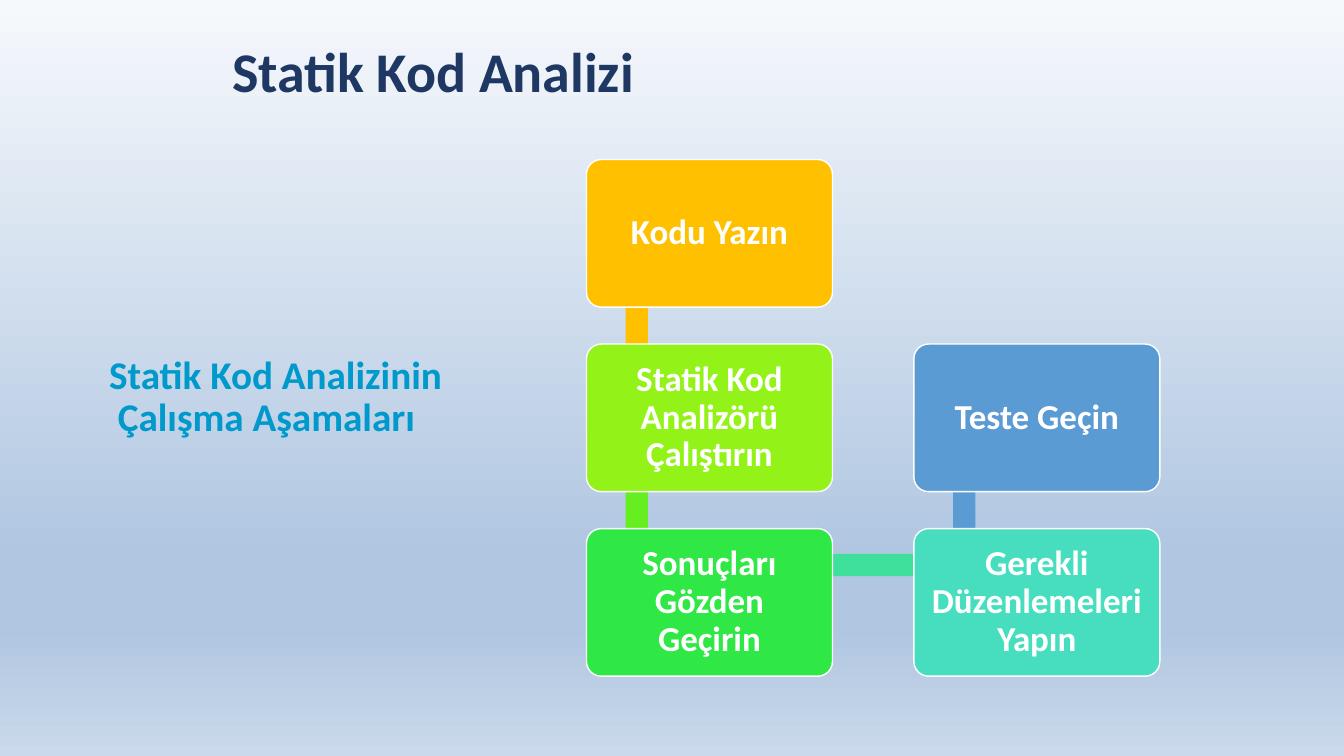
import pptx
import pptx.dml.color
import pptx.enum.shapes
import pptx.enum.text
import pptx.oxml
import pptx.oxml.ns
import pptx.util

Cm, Pt = pptx.util.Cm, pptx.util.Pt
RGB = pptx.dml.color.RGBColor
SHAPE = pptx.enum.shapes.MSO_SHAPE
ALIGN = pptx.enum.text.PP_ALIGN
ANCHOR = pptx.enum.text.MSO_ANCHOR

# Content
TITLE = "Statik Kod Analizi"
SUBTITLE = "Statik Kod Analizinin\vÇalışma Aşamaları"
NAVY = RGB(0x1F, 0x38, 0x63)
CYAN = RGB(0x00, 0x99, 0xCC)
WHITE = RGB(0xFF, 0xFF, 0xFF)
AMBER = RGB(0xFF, 0xC0, 0x00)
LIME = RGB(0x93, 0xF3, 0x18)
GREEN = RGB(0x2F, 0xE8, 0x45)
TEAL = RGB(0x46, 0xDE, 0xBE)
BLUE = RGB(0x5B, 0x9B, 0xD4)
LEAF = RGB(0x67, 0xEE, 0x20)
MINT = RGB(0x3E, 0xE0, 0x9B)
BACKGROUND = [(0, "F6F9FC"), (74, "B0C6E1"), (83, "B0C6E1"), (100, "CAD9EB")]

# Steps in order: text, column, row, fill
STEPS = [
    ("Kodu Yazın", 0, 0, AMBER),
    ("Statik Kod\vAnalizörü\vÇalıştırın", 0, 1, LIME),
    ("Sonuçları\vGözden\vGeçirin", 0, 2, GREEN),
    ("Gerekli\vDüzenlemeleri\vYapın", 1, 2, TEAL),
    ("Teste Geçin", 1, 1, BLUE),
]
LINK_COLORS = [AMBER, LEAF, MINT, BLUE]

# Grid in centimetres
LEFT, TOP = 14.78, 4.02
COL_PITCH, ROW_PITCH = 8.25, 4.65
BOX_W, BOX_H = 6.2, 3.72
BAR = 0.56


def corner(col, row):
    return LEFT + col * COL_PITCH, TOP + row * ROW_PITCH


def add_block(s, kind, x, y, w, h, color):
    sp = s.shapes.add_shape(kind, Cm(x), Cm(y), Cm(w), Cm(h))
    sp.shadow.inherit = False
    sp.fill.solid()
    sp.fill.fore_color.rgb = color
    sp.line.fill.background()
    return sp


def write(sp, text, size, color, align, anchor, inset_top=0):
    tf = sp.text_frame
    tf.text = text
    tf.word_wrap = True
    tf.vertical_anchor = anchor
    tf.margin_left = tf.margin_right = tf.margin_bottom = 0
    tf.margin_top = Cm(inset_top)
    p = tf.paragraphs[0]
    p.alignment = align
    for r in p.runs:
        r.font.name = "Calibri"
        r.font.size = Pt(size)
        r.font.bold = True
        r.font.color.rgb = color
    return p


prs = pptx.Presentation()
prs.slide_width, prs.slide_height = Cm(33.87), Cm(19.05)
s = prs.slides.add_slide(prs.slide_layouts[5])

# Background gradient, top to bottom
fill = s.background.fill
fill.gradient()
fill.gradient_angle = 270
stops = s.background._cSld.find(".//" + pptx.oxml.ns.qn("a:gsLst"))
for stop in list(stops):
    stops.remove(stop)
for pos, color in BACKGROUND:
    stops.append(pptx.oxml.parse_xml(
        f'<a:gs {pptx.oxml.ns.nsdecls("a")} pos="{pos * 1000}">'
        f'<a:srgbClr val="{color}"/></a:gs>'))

# Title and subtitle
title = s.shapes.title
title.left, title.top, title.width, title.height = Cm(5.85), Cm(0.86), Cm(10.6), Cm(1.78)
write(title, TITLE, 40, NAVY, ALIGN.LEFT, ANCHOR.TOP, 0.06)

sub = s.shapes.add_textbox(Cm(2.72), Cm(8.59), Cm(8.8), Cm(2.34))
p = write(sub, SUBTITLE, 28, CYAN, ALIGN.LEFT, ANCHOR.TOP, 0.35)
p.line_spacing = Pt(30.2)
pPr = p._p.get_or_add_pPr()
pPr.set("marL", str(Cm(0.25)))
pPr.set("indent", str(-Cm(0.22)))

# Links between consecutive steps, behind the boxes
for (_, c1, r1, _), (_, c2, r2, _), color in zip(STEPS, STEPS[1:], LINK_COLORS):
    x, y = corner(min(c1, c2), min(r1, r2))
    if c1 == c2:
        add_block(s, SHAPE.RECTANGLE, x + 0.99, y + 0.94, BAR, ROW_PITCH, color)
    else:
        add_block(s, SHAPE.RECTANGLE, x + 1.3, y + 0.64, COL_PITCH, BAR, color)

# Step boxes
for text, col, row, color in STEPS:
    sp = add_block(s, SHAPE.ROUNDED_RECTANGLE, *corner(col, row), BOX_W, BOX_H, color)
    sp.adjustments[0] = 0.1
    sp.line.color.rgb = WHITE
    sp.line.width = Pt(1)
    p = write(sp, text, 25, WHITE, ALIGN.CENTER, ANCHOR.MIDDLE)
    p.line_spacing = 0.9

prs.save("out.pptx")
